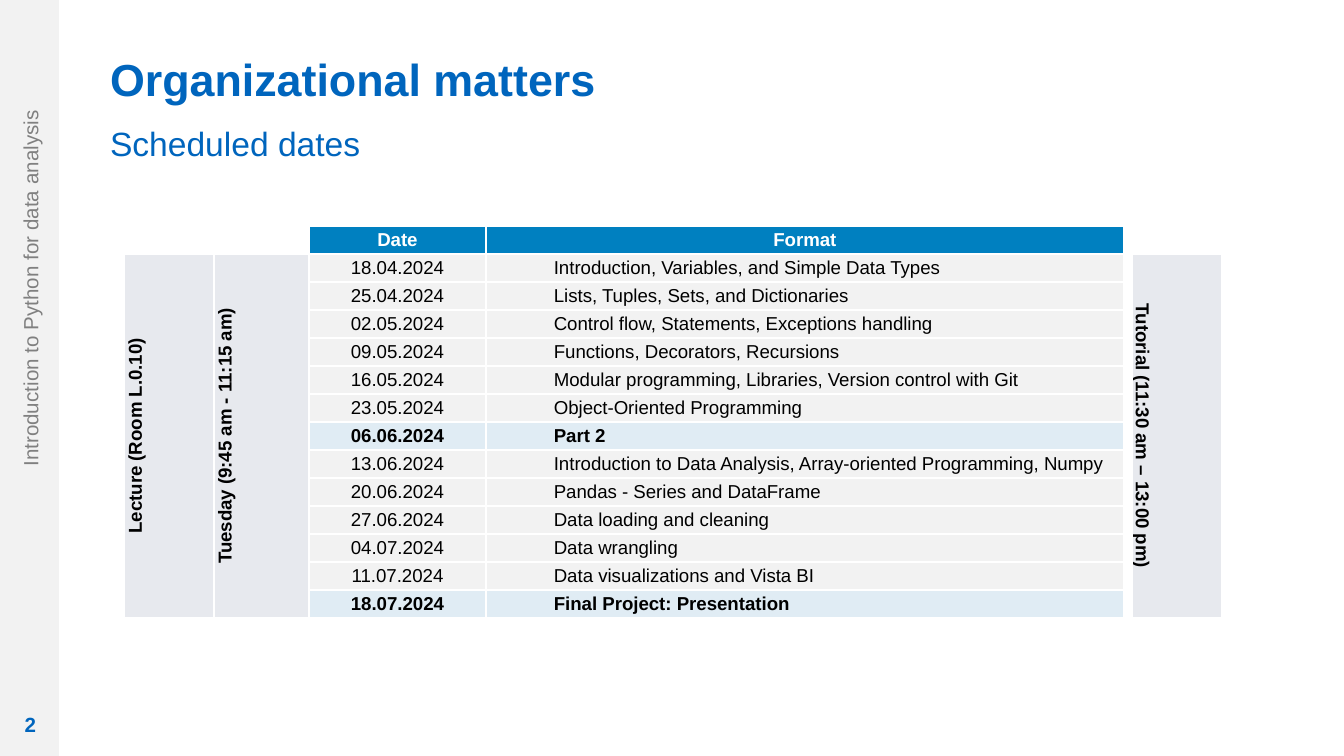
from dataclasses import dataclass

from pptx import Presentation
from pptx.dml.color import RGBColor
from pptx.enum.shapes import MSO_SHAPE as Shape
from pptx.enum.text import MSO_ANCHOR as Anchor, PP_ALIGN as Align
from pptx.oxml import parse_xml
from pptx.oxml.ns import nsdecls
from pptx.util import Emu, Pt

EMU_PER_PX = 914400 / 134.4
FONT = "Arial"
BLUE, GREY, BLACK, WHITE = "0065BD", "808080", "000000", "FFFFFF"
HEADER, PLAIN, ACCENT, SIDE = "0080C0", "F2F2F2", "E0ECF4", "E7E9EE"
COLUMN_WIDTHS = [90, 95, 177, 638, 8, 90]
ROW_HEIGHT = 28
DATE_COLUMN, FORMAT_COLUMN = 2, 3
FORMAT_INDENT = 67


@dataclass
class Label:
    """A text box on the slide."""
    text: str
    box: tuple[int, int, int, int]
    size: int
    color: str = BLUE
    bold: bool = False
    align: Align = Align.LEFT
    anchor: Anchor = Anchor.TOP
    insets: tuple[int, int] = (13, 7)
    rotation: int = 0
    line_spacing: float = 1.0


@dataclass
class Session:
    """One dated row of the schedule."""
    date: str
    topic: str
    milestone: bool = False


@dataclass
class SideCell:
    """A vertical cell spanning all sessions."""
    column: int
    text: str
    direction: str


LABELS = [
    Label("Introduction to Python for data analysis", (-230, 355, 517, 28), 11, GREY,
          align=Align.RIGHT, insets=(0, 0), rotation=270, line_spacing=1.14),
    Label("2", (7, 704, 47, 40), 11, bold=True, align=Align.CENTER,
          anchor=Anchor.MIDDLE, insets=(0, 7)),
    Label("Organizational matters", (97, 39, 1007, 73), 24, bold=True, line_spacing=1.1),
    Label("Scheduled dates", (97, 112, 1007, 73), 18, line_spacing=1.1),
]
SESSIONS = [
    Session("18.04.2024", "Introduction, Variables, and Simple Data Types"),
    Session("25.04.2024", "Lists, Tuples, Sets, and Dictionaries"),
    Session("02.05.2024", "Control flow, Statements, Exceptions handling"),
    Session("09.05.2024", "Functions, Decorators, Recursions"),
    Session("16.05.2024", "Modular programming, Libraries, Version control with Git"),
    Session("23.05.2024", "Object-Oriented Programming"),
    Session("06.06.2024", "Part 2", True),
    Session("13.06.2024", "Introduction to Data Analysis, Array-oriented Programming, Numpy"),
    Session("20.06.2024", "Pandas - Series and DataFrame"),
    Session("27.06.2024", "Data loading and cleaning"),
    Session("04.07.2024", "Data wrangling"),
    Session("11.07.2024", "Data visualizations and Vista BI"),
    Session("18.07.2024", "Final Project: Presentation", True),
]
SIDE_CELLS = [
    SideCell(0, "Lecture (Room L.0.10)", "vert270"),
    SideCell(1, "Tuesday (9:45 am - 11:15 am)", "vert270"),
    SideCell(5, "Tutorial (11:30 am – 13:00 pm)", "vert"),
]


def px(length: int) -> Emu:
    """Turn pixels into EMU."""
    return Emu(round(length * EMU_PER_PX))


def rgb(color: str) -> RGBColor:
    """Turn a hex string into a colour."""
    return RGBColor.from_string(color)


def style_text(para, size: int, color: str, bold: bool) -> None:
    """Format every run of a paragraph."""
    for span in para.runs:
        span.font.name, span.font.size, span.font.bold = FONT, Pt(size), bold
        span.font.color.rgb = rgb(color)


def add_sidebar(slide) -> None:
    """Draw the pale strip at the left edge."""
    strip = slide.shapes.add_shape(Shape.RECTANGLE, px(0), px(0), px(59), px(756))
    strip.shadow.inherit = False
    strip.fill.solid()
    strip.fill.fore_color.rgb = rgb(PLAIN)
    strip.line.fill.background()


def add_label(slide, label: Label) -> None:
    """Draw one text box."""
    box = slide.shapes.add_textbox(*map(px, label.box))
    box.rotation = label.rotation
    frame = box.text_frame
    frame.word_wrap = True
    frame.vertical_anchor = label.anchor
    frame.margin_left = frame.margin_right = px(label.insets[0])
    frame.margin_top = frame.margin_bottom = px(label.insets[1])
    frame.text = label.text
    para = frame.paragraphs[0]
    para.alignment = label.align
    para.line_spacing = label.line_spacing
    style_text(para, label.size, label.color, label.bold)


def prepare_cell(cell) -> None:
    """Give a cell narrow margins, no fill, white borders and small empty text."""
    cell.margin_left = cell.margin_right = cell.margin_top = px(1)
    cell.margin_bottom = px(0)
    cell.vertical_anchor = Anchor.MIDDLE
    cell.fill.background()
    properties = cell._tc.get_or_add_tcPr()
    for position, side in enumerate("LRTB"):
        properties.insert(position, parse_xml(
            f'<a:ln{side} {nsdecls("a")} w="12700"><a:solidFill>'
            f'<a:srgbClr val="{WHITE}"/></a:solidFill></a:ln{side}>'))
    cell.text_frame.paragraphs[0]._p.get_or_add_endParaRPr().set("sz", "1000")


def fill_cell(cell, text: str, fill: str, color: str = BLACK, bold: bool = False,
              align: Align = Align.CENTER):
    """Write text into a coloured cell and return its paragraph."""
    cell.fill.solid()
    cell.fill.fore_color.rgb = rgb(fill)
    para = cell.text_frame.paragraphs[0]
    para.text = text
    para.alignment = align
    style_text(para, 10, color, bold)
    return para


def add_schedule(slide) -> None:
    """Draw the timetable."""
    row_count = len(SESSIONS) + 1
    table = slide.shapes.add_table(
        row_count, len(COLUMN_WIDTHS), px(124), px(226),
        px(sum(COLUMN_WIDTHS)), px(row_count * ROW_HEIGHT)).table
    table.first_row = table.horz_banding = False
    for column, width in zip(table.columns, COLUMN_WIDTHS):
        column.width = px(width)
    for row in table.rows:
        row.height = px(ROW_HEIGHT)
    for cell in table.iter_cells():
        prepare_cell(cell)
    for column, title in ((DATE_COLUMN, "Date"), (FORMAT_COLUMN, "Format")):
        fill_cell(table.cell(0, column), title, HEADER, WHITE, True)
    for row, session in enumerate(SESSIONS, start=1):
        fill = ACCENT if session.milestone else PLAIN
        fill_cell(table.cell(row, DATE_COLUMN), session.date, fill, bold=session.milestone)
        topic = fill_cell(table.cell(row, FORMAT_COLUMN), session.topic, fill,
                          bold=session.milestone, align=Align.LEFT)
        topic._p.get_or_add_pPr().set("marL", str(px(FORMAT_INDENT)))
    for side in SIDE_CELLS:
        cell = table.cell(1, side.column)
        cell.merge(table.cell(row_count - 1, side.column))
        fill_cell(cell, side.text, SIDE, bold=True)
        cell._tc.get_or_add_tcPr().set("vert", side.direction)


def main() -> None:
    """Build and save the deck."""
    deck = Presentation()
    deck.slide_width, deck.slide_height = px(1344), px(756)
    page = deck.slides.add_slide(deck.slide_layouts[6])
    add_sidebar(page)
    for label in LABELS:
        add_label(page, label)
    add_schedule(page)
    deck.save("out.pptx")


if __name__ == "__main__":
    main()
